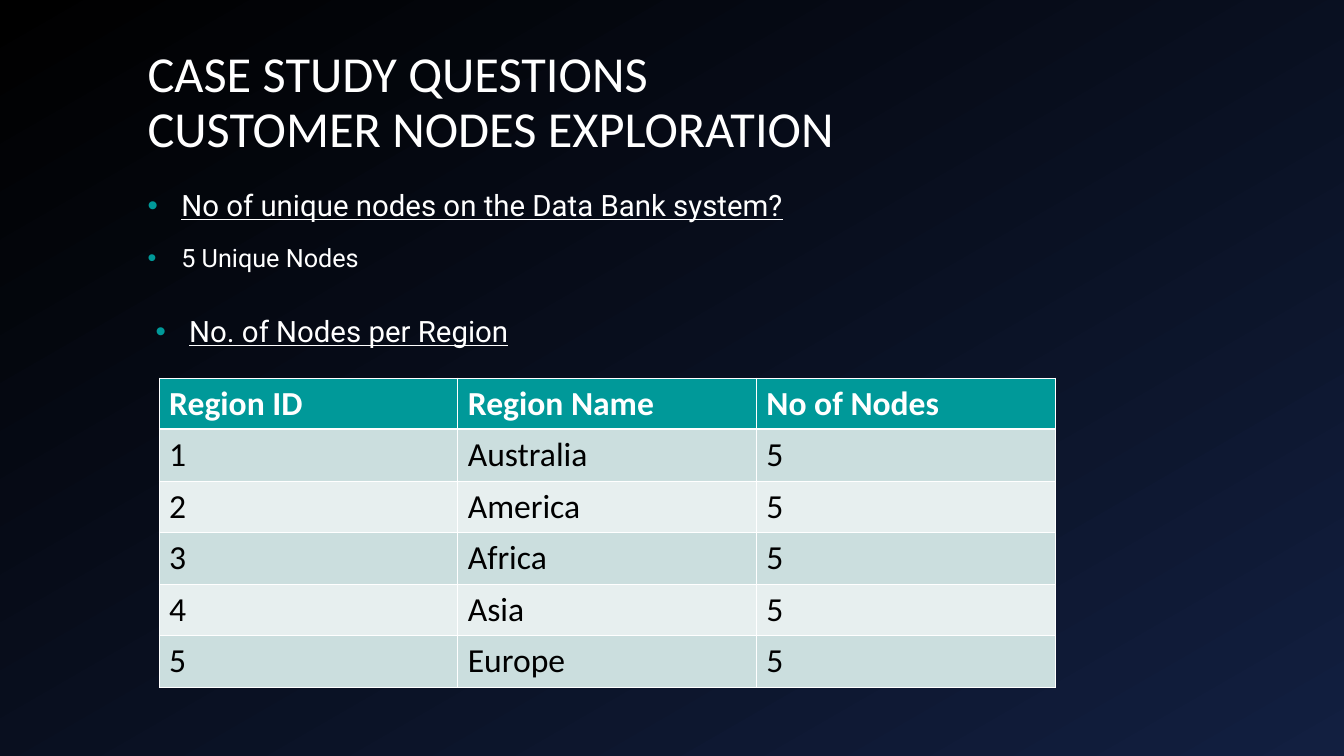
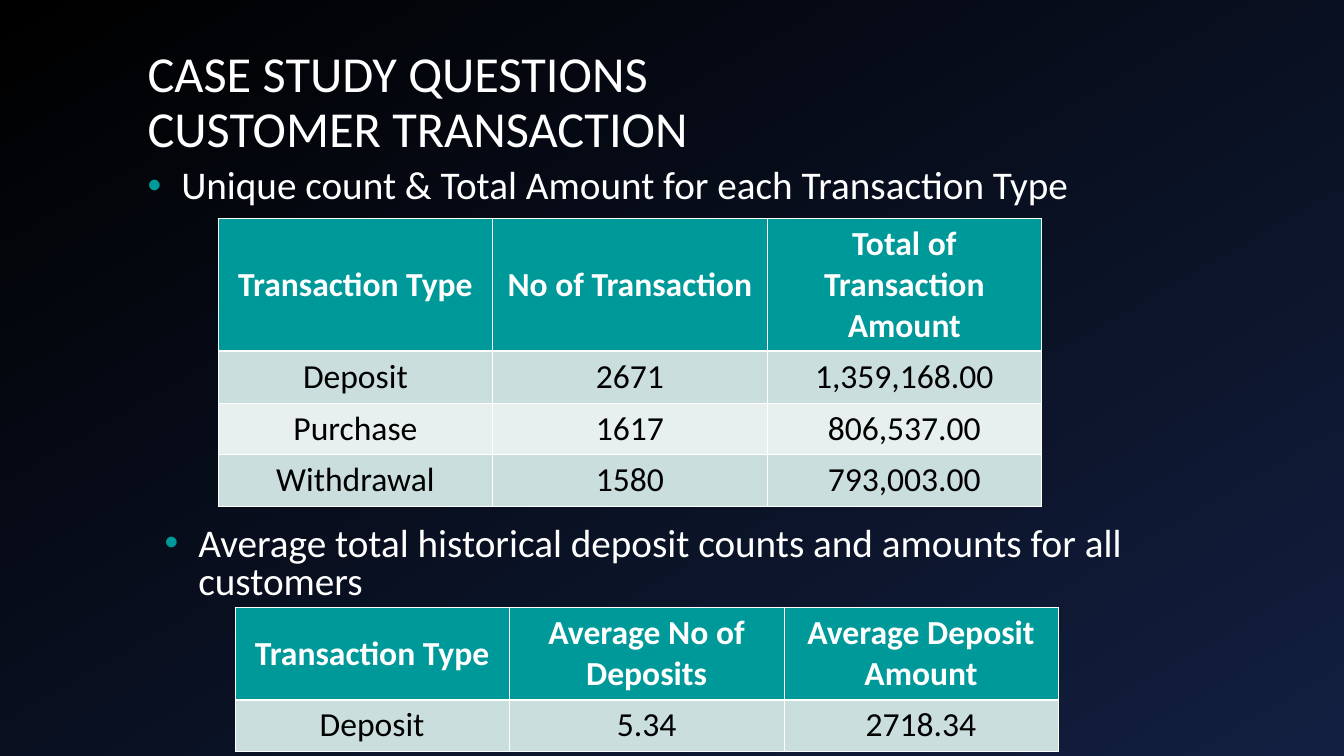
"""Build the two case study slides on customer nodes and transactions."""
import pptx
import pptx.dml.color
import pptx.enum.text
import pptx.oxml.ns
import pptx.util
from lxml import etree

Cm = pptx.util.Cm
Pt = pptx.util.Pt
ALIGN = pptx.enum.text.PP_ALIGN
ANCHOR = pptx.enum.text.MSO_ANCHOR
qn = pptx.oxml.ns.qn


class CaseDeck:
    COLORS = {
        "white": "FFFFFF",
        "black": "000000",
        "navy": "121F40",
        "teal": "009999",
        "band_dark": "CBDEDE",
        "band_light": "E7EFEF",
    }
    HEADING_FONT = "Calibri"
    ANSWER_FONT = "Roboto"
    ROW_HEIGHT = 1.3
    THIN, THICK = 0.45, 1.47

    def __init__(self):
        self.deck = pptx.Presentation()
        self.deck.slide_width = Cm(33.87)
        self.deck.slide_height = Cm(19.05)
        self.slide = None

    def rgb(self, name):
        return pptx.dml.color.RGBColor.from_string(self.COLORS[name])

    def style(self, paragraph, size, font, color="white", bold=False, underline=False):
        for run in paragraph.runs:
            run.font.size = Pt(size)
            run.font.name = font
            run.font.bold = bold
            run.font.underline = underline
            run.font.color.rgb = self.rgb(color)

    def new_slide(self, topic):
        self.slide = self.deck.slides.add_slide(self.deck.slide_layouts[6])
        backdrop = self.slide.background.fill
        backdrop.gradient()
        backdrop.gradient_angle = 300
        for stop, position, name in zip(backdrop.gradient_stops, (0, 1), ("black", "navy")):
            stop.position = position
            stop.color.rgb = self.rgb(name)
        frame = self.text_frame(3.38, 0.76, 28.78, 3.4)
        frame.vertical_anchor = ANCHOR.BOTTOM
        frame.text = "CASE STUDY QUESTIONS\v" + topic
        heading = frame.paragraphs[0]
        heading.line_spacing = 0.9
        self.style(heading, 36, self.HEADING_FONT)

    def text_frame(self, left, top, width, height):
        box = self.slide.shapes.add_textbox(Cm(left), Cm(top), Cm(width), Cm(height))
        frame = box.text_frame
        frame.word_wrap = True
        frame.margin_left = frame.margin_right = Cm(0.34)
        frame.margin_top = frame.margin_bottom = Cm(0.17)
        return frame

    def bullets(self, left, top, width, height, items, font, line_spacing=0.9):
        frame = self.text_frame(left, top, width, height)
        frame.text = "\n".join(text for text, _, _ in items)
        for paragraph, (_, size, underline) in zip(frame.paragraphs, items):
            paragraph.line_spacing = line_spacing
            paragraph.space_before = Pt(16)
            self.style(paragraph, size, font, underline=underline)
            self.add_bullet(paragraph)

    def add_bullet(self, paragraph):
        props = paragraph._p.get_or_add_pPr()
        props.set("marL", str(Cm(0.85)))
        props.set("indent", str(-Cm(0.85)))
        color = etree.SubElement(props, qn("a:buClr"))
        etree.SubElement(color, qn("a:srgbClr"), val=self.COLORS["teal"])
        etree.SubElement(props, qn("a:buFont"), typeface="Arial")
        etree.SubElement(props, qn("a:buChar"), char="•")

    def table(self, left, top, width, rows, header_height=ROW_HEIGHT, align=ALIGN.CENTER):
        heights = [header_height] + [self.ROW_HEIGHT] * (len(rows) - 1)
        columns = len(rows[0])
        grid = self.slide.shapes.add_table(
            len(rows), columns, Cm(left), Cm(top), Cm(width), Cm(sum(heights))
        ).table
        for column in grid.columns:
            column.width = Cm(width / columns)
        for r, (values, height) in enumerate(zip(rows, heights)):
            grid.rows[r].height = Cm(height)
            for c, value in enumerate(values):
                self.fill_cell(grid.cell(r, c), value, r, align)

    def fill_cell(self, cell, value, row, align):
        header = row == 0
        band = "band_dark" if row % 2 else "band_light"
        cell.fill.solid()
        cell.fill.fore_color.rgb = self.rgb("teal" if header else band)
        cell.vertical_anchor = ANCHOR.MIDDLE
        cell.text_frame.text = value
        paragraph = cell.text_frame.paragraphs[0]
        paragraph.alignment = align
        self.style(paragraph, 24, self.HEADING_FONT, "white" if header else "black", bold=header)
        widths = {
            "a:lnL": self.THIN,
            "a:lnR": self.THIN,
            "a:lnT": self.THICK if row == 1 else self.THIN,
            "a:lnB": self.THICK if header else self.THIN,
        }
        props = cell._tc.get_or_add_tcPr()
        for place, (side, points) in enumerate(widths.items()):
            border = etree.Element(qn(side), w=str(Pt(points)))
            paint = etree.SubElement(border, qn("a:solidFill"))
            etree.SubElement(paint, qn("a:srgbClr"), val=self.COLORS["white"])
            props.insert(place, border)


def main():
    case = CaseDeck()

    case.new_slide("CUSTOMER NODES EXPLORATION")
    case.bullets(
        3.38, 4.65, 28.78, 2.97,
        [("No of unique nodes on the Data Bank system?", 21, True), ("5 Unique Nodes", 18, False)],
        case.ANSWER_FONT,
    )
    case.bullets(3.58, 7.82, 28.78, 1.5, [("No. of Nodes per Region", 21, True)], case.ANSWER_FONT)
    regions = ["Australia", "America", "Africa", "Asia", "Europe"]
    node_rows = [(str(number), region, "5") for number, region in enumerate(regions, 1)]
    case.table(
        4.01, 9.52, 22.58,
        [("Region ID", "Region Name", "No of Nodes"), *node_rows],
        align=ALIGN.LEFT,
    )

    case.new_slide("CUSTOMER TRANSACTION")
    case.bullets(
        3.38, 4.01, 27.71, 1.4,
        [("Unique count & Total Amount for each Transaction Type", 28, False)],
        case.HEADING_FONT,
    )
    case.table(
        5.5, 5.5, 20.75,
        [
            ("Transaction Type", "No of Transaction", "Total of Transaction Amount"),
            ("Deposit", "2671", "1,359,168.00"),
            ("Purchase", "1617", "806,537.00"),
            ("Withdrawal", "1580", "793,003.00"),
        ],
        header_height=3.35,
    )
    case.bullets(
        3.81, 13.13, 27.71, 2.2,
        [("Average total historical deposit counts and amounts for all customers", 28, False)],
        case.HEADING_FONT,
        line_spacing=0.8,
    )
    case.table(
        5.92, 15.31, 20.75,
        [
            ("Transaction Type", "Average No of Deposits", "Average Deposit Amount"),
            ("Deposit", "5.34", "2718.34"),
        ],
        header_height=2.32,
    )

    case.deck.save("out.pptx")


if __name__ == "__main__":
    main()
